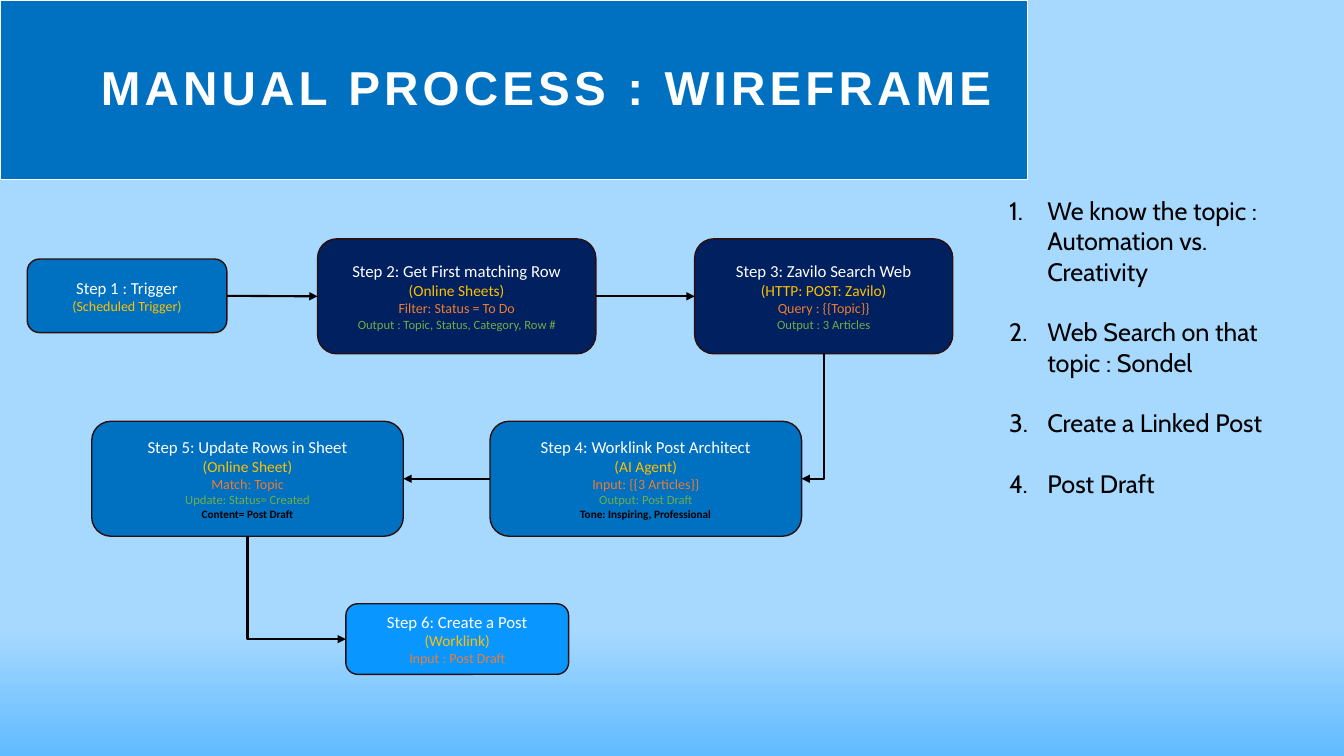
from lxml import etree
from pptx import Presentation, util as u
from pptx.dml.color import RGBColor
from pptx.enum import shapes, text
from pptx.oxml import ns

COLORS = {
    "blue": "0070C0", "navy": "002060", "bright": "0996FF", "outline": "2B100F",
    "sky": "A7D9FF", "deep_sky": "61BBFF", "white": "FFFFFF", "black": "000000",
    "gold": "FFC000", "orange": "ED7D31", "green": "70AD47",
}
LINE_COLORS = ["white", "gold", "orange", "green", "black"]
LINE_SIZES = [12, 11, 10, 9, 8]
TOP, LEFT, BOTTOM, RIGHT = range(4)

STEPS = [
    (0.27, 2.57, 1.98, 0.73, "blue", ["Step 1 : Trigger", "(Scheduled Trigger)"]),
    (3.15, 2.37, 2.76, 1.14, "navy", [
        "Step 2: Get First matching Row", "(Online Sheets)",
        "Filter: Status = To Do", "Output : Topic, Status, Category, Row #"]),
    (6.89, 2.37, 2.56, 1.14, "navy", [
        "Step 3: Zavilo Search Web", "(HTTP: POST: Zavilo)",
        "Query : {{Topic}}", "Output : 3 Articles"]),
    (4.86, 4.18, 3.09, 1.14, "blue", [
        "Step 4: Worklink Post Architect", "(AI Agent)", "Input: {{3 Articles}}",
        "Output: Post Draft", "Tone: Inspiring, Professional"]),
    (0.91, 4.18, 3.09, 1.14, "blue", [
        "Step 5: Update Rows in Sheet", "(Online Sheet)", "Match: Topic",
        "Update: Status= Created", "Content= Post Draft"]),
    (3.43, 5.99, 2.21, 0.7, "bright", [
        "Step 6: Create a Post", "(Worklink)", "Input : Post Draft"]),
]
NOTES = [
    "We know the topic :  Automation vs. Creativity",
    "Web Search on that topic : Sondel",
    "Create a Linked Post",
    "Post Draft",
]


def rgb(name):
    """Return the named colour."""
    return RGBColor.from_string(COLORS[name])


def apply(target, values):
    """Set every attribute in values on target."""
    for name, value in values.items():
        setattr(target, name, value)


def add_span(para, words, size, face, color, bold=False):
    """Add one formatted run to a paragraph."""
    span = para.add_run()
    span.text = words
    apply(span.font, {"size": u.Pt(size), "name": face, "bold": bold})
    span.font.color.rgb = rgb(color)
    return span


def paragraphs(frame, lines):
    """Yield a paragraph with each line, using the first one already there."""
    for index, line in enumerate(lines):
        yield (frame.add_paragraph() if index else frame.paragraphs[0]), line


def add_panel(page, kind, place, fill, outline, width):
    """Add a filled and outlined shape with middle-anchored text."""
    box = page.shapes.add_shape(kind, *map(u.Inches, place))
    box.shadow.inherit = False
    box.fill.solid()
    box.fill.fore_color.rgb = rgb(fill)
    box.line.color.rgb = rgb(outline)
    box.line.width = u.Pt(width)
    apply(box.text_frame, {"word_wrap": True, "vertical_anchor": text.MSO_ANCHOR.MIDDLE})
    return box


def add_step(page, left, top, width, height, fill, lines):
    """Add a workflow step whose lines shrink downwards."""
    box = add_panel(page, shapes.MSO_SHAPE.ROUNDED_RECTANGLE,
                    (left, top, width, height), fill, "outline", 1)
    sizes = [12, 10] if len(lines) == 2 else LINE_SIZES
    rows = zip(lines, sizes, LINE_COLORS)
    for para, (words, size, color) in paragraphs(box.text_frame, rows):
        para.alignment = text.PP_ALIGN.CENTER
        add_span(para, words, size, "Calibri", color, color == "black")
    return box


def style_arrow(arrow):
    """Make a connector a black line with a triangle at its end."""
    arrow.line.color.rgb = rgb("black")
    arrow.line.width = u.Pt(1.5)
    etree.SubElement(arrow.line._get_or_add_ln(), ns.qn("a:tailEnd"), type="triangle")
    etree.SubElement(arrow._element.spPr, ns.qn("a:effectLst"))


def add_straight(page, source, source_side, target, target_side):
    """Join two steps with a straight arrow."""
    arrow = page.shapes.add_connector(shapes.MSO_CONNECTOR.STRAIGHT, 0, 0, 0, 0)
    arrow.begin_connect(source, source_side)
    arrow.end_connect(target, target_side)
    style_arrow(arrow)


def add_bent(page, source, target, target_side):
    """Run an arrow down from a step and sideways into another."""
    start_x, start_y = source.left + source.width // 2, source.top + source.height
    end_x = target.left + (target.width if target_side == RIGHT else 0)
    end_y = target.top + target.height // 2
    run, drop = abs(end_x - start_x), end_y - start_y
    left = (start_x + end_x - drop) // 2
    top = (start_y + end_y - run) // 2
    rightward = end_x > start_x
    ends = (left + drop, left) if rightward else (left, left + drop)
    arrow = page.shapes.add_connector(
        shapes.MSO_CONNECTOR.ELBOW, ends[0], top, ends[1], top + run)
    properties = arrow._element.spPr
    properties.find(ns.qn("a:prstGeom")).set("prst", "bentConnector2")
    angle = 270 if rightward else 90
    properties.find(ns.qn("a:xfrm")).set("rot", str(angle * 60000))
    style_arrow(arrow)


def add_banner(page, words):
    """Add the title banner."""
    banner = add_panel(page, shapes.MSO_SHAPE.RECTANGLE,
                       (0, 0, 10.19, 1.78), "blue", "white", 0.75)
    banner.text_frame.margin_left = u.Inches(1)
    para = banner.text_frame.paragraphs[0]
    apply(para, {"alignment": text.PP_ALIGN.LEFT, "line_spacing": 0.9})
    span = add_span(para, words, 34, "Arial", "white", True)
    span.font._element.set("spc", "300")


def add_numbered(page, place, items):
    """Add a numbered list with a line of space between items."""
    box = page.shapes.add_textbox(*map(u.Inches, place))
    box.text_frame.word_wrap = True
    indent = u.Inches(0.38)
    for para, words in paragraphs(box.text_frame, items):
        para.space_after = u.Pt(21.7)
        add_span(para, words, 18, "Cabin", "black")
        properties = para._p.get_or_add_pPr()
        properties.set("marL", str(indent))
        properties.set("indent", str(-indent))
        etree.SubElement(properties, ns.qn("a:buFont"), typeface="+mj-lt")
        etree.SubElement(properties, ns.qn("a:buAutoNum"), type="arabicPeriod")


def paint_background(page):
    """Fill the page with a sky gradient running downwards."""
    fill = page.background.fill
    fill.gradient()
    fill.gradient_angle = 270
    for stop, (position, color) in zip(fill.gradient_stops, [(0.83, "sky"), (1, "deep_sky")]):
        stop.position = position
        stop.color.rgb = rgb(color)


def main():
    """Build and save the slide."""
    deck = Presentation()
    apply(deck, {"slide_width": u.Inches(13.33), "slide_height": u.Inches(7.5)})
    page = deck.slides.add_slide(deck.slide_layouts[6])
    paint_background(page)
    trigger, fetch, search, write, update, publish = [add_step(page, *step) for step in STEPS]
    add_bent(page, search, write, RIGHT)
    add_straight(page, write, LEFT, update, RIGHT)
    add_straight(page, trigger, RIGHT, fetch, LEFT)
    add_straight(page, fetch, RIGHT, search, LEFT)
    add_bent(page, update, publish, LEFT)
    add_banner(page, "MANUAL PROCESS : WIREFRAME")
    add_numbered(page, (9.91, 1.89, 3.17, 2.83), NOTES)
    deck.save("out.pptx")


if __name__ == "__main__":
    main()
